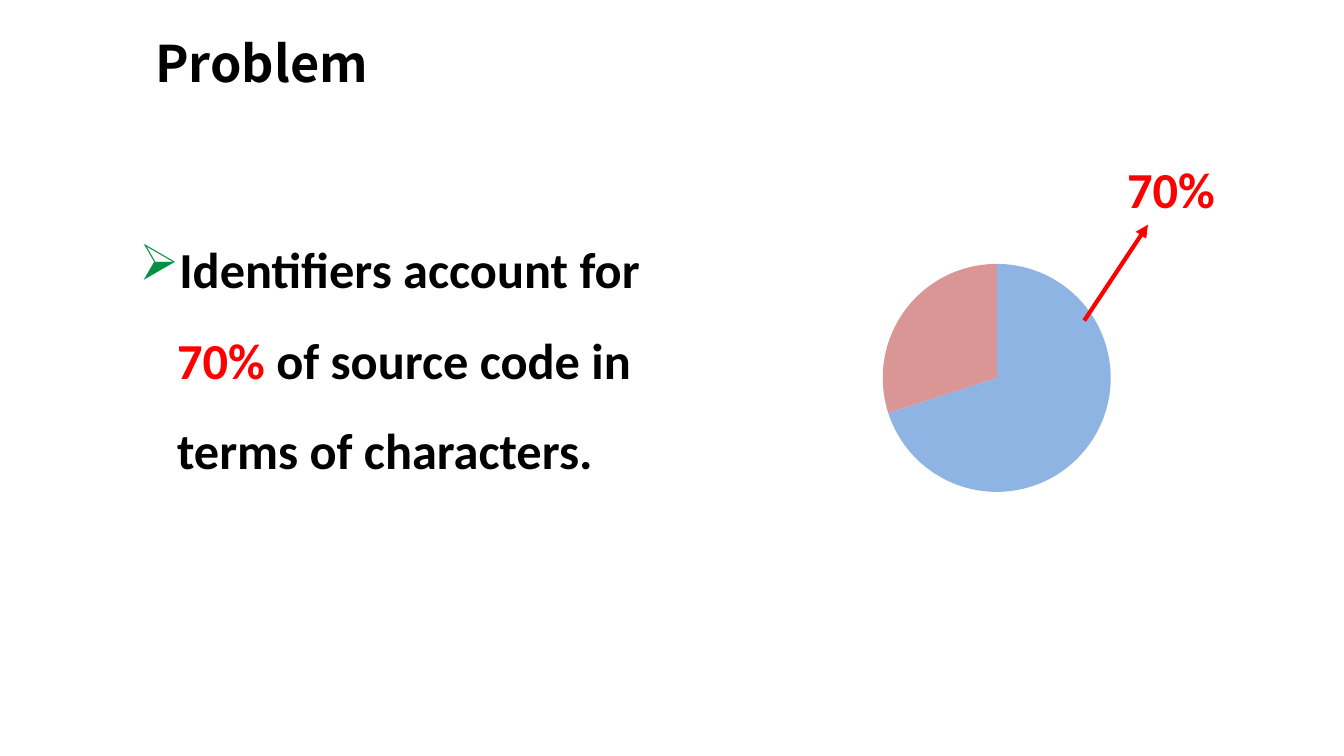
from lxml import etree
from pptx import Presentation
from pptx.chart.data import CategoryChartData
from pptx.dml.color import RGBColor
from pptx.enum.chart import XL_CHART_TYPE
from pptx.enum.shapes import MSO_CONNECTOR
from pptx.enum.text import MSO_ANCHOR
from pptx.oxml import parse_xml
from pptx.oxml.ns import nsdecls, qn
from pptx.util import Pt

PIE = XL_CHART_TYPE.PIE
STRAIGHT = MSO_CONNECTOR.STRAIGHT
TOP, MIDDLE = MSO_ANCHOR.TOP, MSO_ANCHOR.MIDDLE
BLACK = RGBColor(0x00, 0x00, 0x00)
RED = RGBColor(0xFF, 0x00, 0x00)
BLUE = RGBColor(0x8E, 0xB4, 0xE3)
PINK = RGBColor(0xD9, 0x96, 0x94)
GREEN = RGBColor(0x00, 0x92, 0x41)

deck = Presentation()
deck.slide_width, deck.slide_height = Pt(960), Pt(540)
slide = deck.slides.add_slide(deck.slide_layouts[6])


def add_text(left, top, width, height, parts, face="Calibri", anchor=TOP, inset=(5, 3)):
    """Add a box with one paragraph of (text, colour) parts; return the paragraph."""
    box = slide.shapes.add_textbox(Pt(left), Pt(top), Pt(width), Pt(height))
    frame = box.text_frame
    frame.word_wrap = True
    frame.vertical_anchor = anchor
    frame.margin_left = frame.margin_right = Pt(inset[0])
    frame.margin_top = frame.margin_bottom = Pt(inset[1])
    para = frame.paragraphs[0]
    for text, color in parts:
        run = para.add_run()
        run.text = text
        run.font.name = face
        run.font.size = Pt(36)
        run.font.bold = True
        run.font.color.rgb = color
    return para


# Title and claim
add_text(106, 21, 210, 47, [("Problem", BLACK)], "Noto Sans CJK SC", MIDDLE)
claim = add_text(94.5, 145.5, 380, 300, [
    ("Identifiers account for ", BLACK),
    ("70%", RED),
    (" of source code in terms of characters.", BLACK),
])
claim.line_spacing = 1.5
props = claim._p.get_or_add_pPr()
props.set("marL", str(Pt(27)))
props.set("indent", str(-Pt(27)))
props.append(parse_xml(
    f'<a:buClr {nsdecls("a")}><a:srgbClr val="{GREEN}"/></a:buClr>'))
etree.SubElement(props, qn("a:buChar"), char="➢")

# Pie of source code characters
data = CategoryChartData()
data.categories = ["1", "2"]
data.add_series("Series 1", (70, 30))
chart = slide.shapes.add_chart(PIE, Pt(542), Pt(179.5), Pt(340), Pt(181), data).chart
chart.has_title = False
chart.has_legend = False
chart.font.name = "Calibri"
chart.font.size = Pt(10)
chart.font.color.rgb = BLACK
plot = chart.plots[0]
plot.vary_by_categories = True
for index, color in enumerate((BLUE, PINK)):
    fill = plot.series[0].points[index].format.fill
    fill.solid()
    fill.fore_color.rgb = color

area = chart._chartSpace.chart.plotArea
for old in area.findall(qn("c:layout")):
    area.remove(old)
area.insert(0, parse_xml(
    f'<c:layout {nsdecls("c")}><c:manualLayout><c:layoutTarget val="inner"/>'
    '<c:xMode val="edge"/><c:yMode val="edge"/><c:x val="0.26"/><c:y val="0.05"/>'
    '<c:w val="0.48"/><c:h val="0.9"/></c:manualLayout></c:layout>'))

# Arrow from the large slice to its share
arrow = slide.shapes.add_connector(STRAIGHT, Pt(774.5), Pt(229), Pt(820), Pt(160.5))
arrow.line.color.rgb = RED
arrow.line.width = Pt(3)
etree.SubElement(arrow.line._get_or_add_ln(), qn("a:tailEnd"), type="triangle")
etree.SubElement(arrow._element.spPr, qn("a:effectLst"))
add_text(798, 109.5, 85, 51, [("70%", RED)], inset=(7.2, 3.6))

deck.save("out.pptx")
